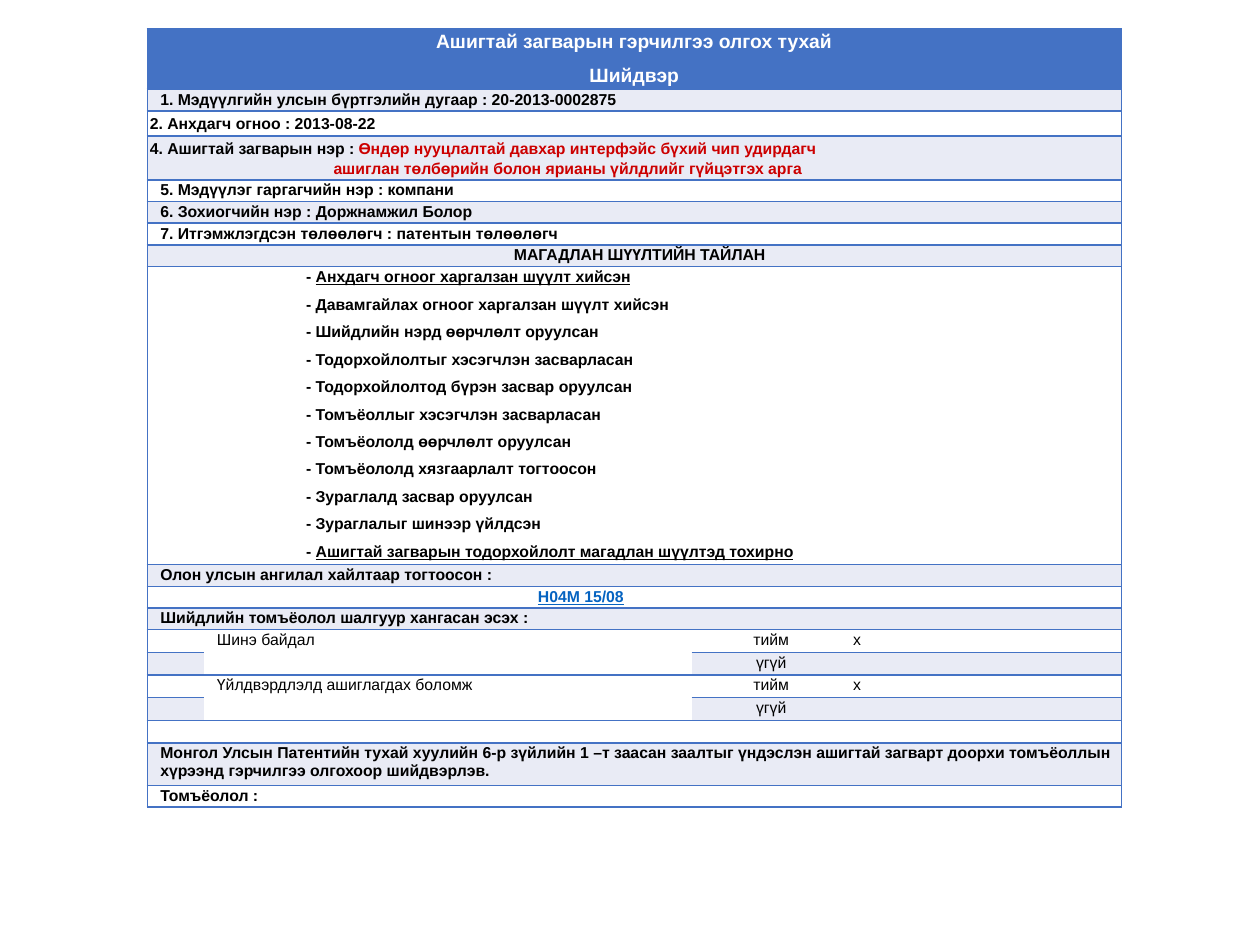
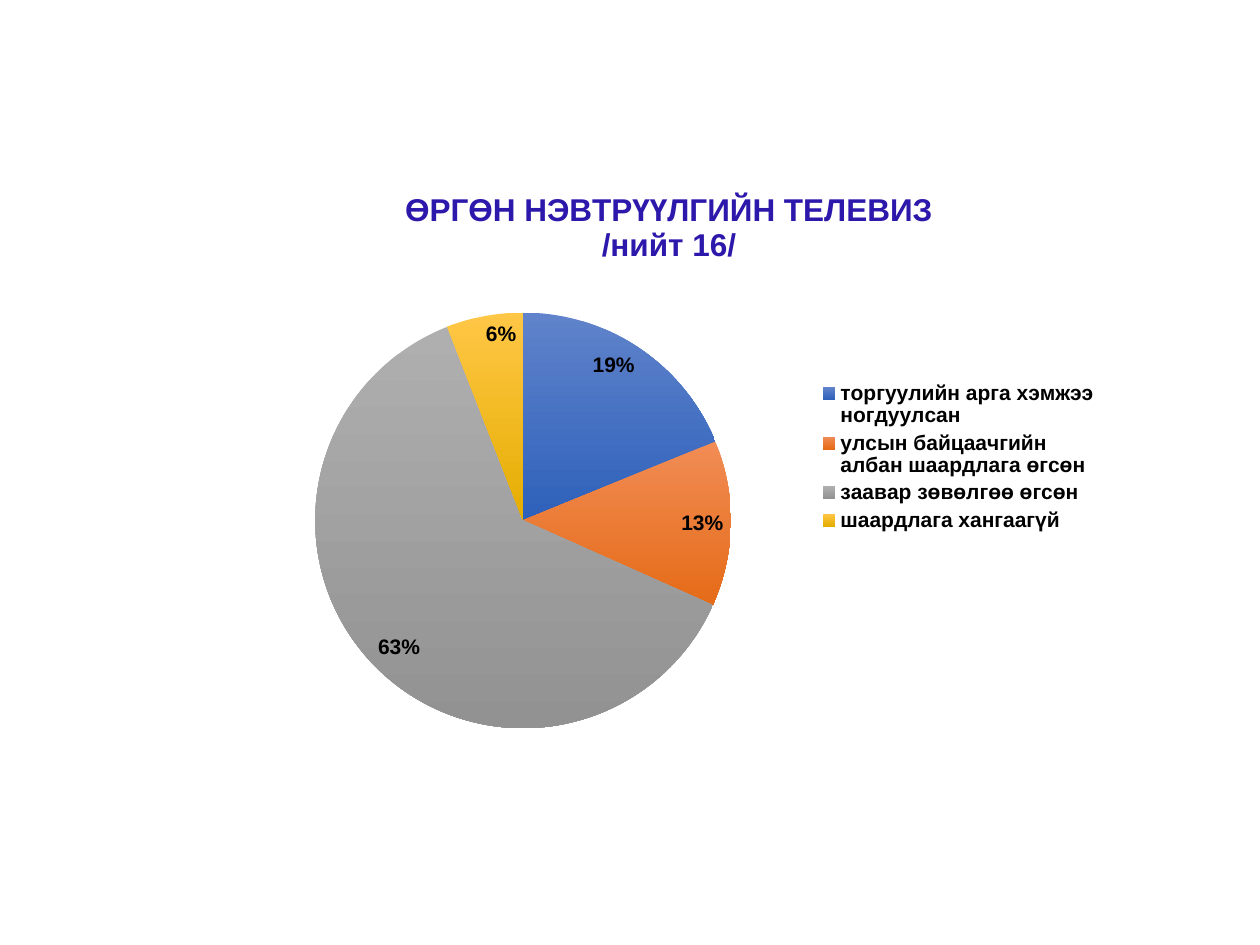
from lxml import etree
from pptx import Presentation
from pptx import util as u
from pptx.chart import data as chart_data
from pptx.dml.color import RGBColor
from pptx.enum import chart as chart_enum, text
from pptx.oxml import ns

FONT = "Arial"
COLORS = {
    "header": "4472C4", "band": "E9EBF5", "plain": "FFFFFF", "ink": "000000",
    "alert": "CC0000", "link": "0563C1", "chart title": "2D18AC",
}

# Decision table: each full-width row is a list of paragraphs,
# each paragraph is (list of runs, paragraph format)
INDENT = {"indent": 6}
HEADING = ["Ашигтай загварын гэрчилгээ олгох тухай", "Шийдвэр"]
REVIEW_CHECKS = [
    ("Анхдагч огноог харгалзан шүүлт хийсэн", True),
    ("Давамгайлах огноог харгалзан шүүлт хийсэн", False),
    ("Шийдлийн нэрд өөрчлөлт оруулсан", False),
    ("Тодорхойлолтыг хэсэгчлэн засварласан", False),
    ("Тодорхойлолтод бүрэн засвар оруулсан", False),
    ("Томъёоллыг хэсэгчлэн засварласан", False),
    ("Томъёололд өөрчлөлт оруулсан", False),
    ("Томъёололд хязгаарлалт тогтоосон", False),
    ("Зураглалд засвар оруулсан", False),
    ("Зураглалыг шинээр үйлдсэн", False),
    ("Ашигтай загварын тодорхойлолт магадлан шүүлтэд тохирно", True),
]
APPLICATION_ROWS = [
    [(["1. Мэдүүлгийн улсын бүртгэлийн дугаар : 20-2013-0002875"], INDENT)],
    [(["2. Анхдагч огноо : 2013-08-22"], {"line": 1.15})],
    [(["4. Ашигтай загварын нэр : ",
       ("Өндөр нууцлалтай давхар интерфэйс бүхий чип удирдагч", {"color": "alert"})],
      {"line": 1.15}),
     ([("ашиглан төлбөрийн болон ярианы үйлдлийг гүйцэтгэх арга", {"color": "alert"})],
      {"line": 1.15, "indent": 105})],
    [(["5. Мэдүүлэг гаргагчийн нэр : компани"], INDENT)],
    [(["6. Зохиогчийн нэр : Доржнамжил Болор"], INDENT)],
    [(["7. Итгэмжлэгдсэн төлөөлөгч : патентын төлөөлөгч"], INDENT)],
    [(["МАГАДЛАН ШҮҮЛТИЙН ТАЙЛАН"], {"indent": 6, "center": True})],
    [(["- ", (check, {"underline": done})],
      {"indent": 89.3, "before": 2.8 if number else 0, "after": 2.8})
     for number, (check, done) in enumerate(REVIEW_CHECKS)],
    [(["Олон улсын ангилал хайлтаар тогтоосон :"], INDENT)],
    [([("H04M 15/08", {"color": "link", "underline": True})], {"indent": 221.8})],
    [(["Шийдлийн томъёолол шалгуур хангасан эсэх :"], INDENT)],
]
CRITERIA = ["Шинэ байдал", "Үйлдвэрдлэлд ашиглагдах боломж"]
ANSWERS = [("тийм", "х"), ("үгүй", "")]
CLOSING_ROWS = [
    [],
    [(["Монгол Улсын Патентийн тухай хуулийн 6-р зүйлийн 1 –т заасан заалтыг "
       "үндэслэн ашигтай загварт доорхи томъёоллын хүрээнд гэрчилгээ олгохоор "
       "шийдвэрлэв."], INDENT)],
    [(["Томъёолол :"], INDENT)],
]
COLUMN_WIDTHS = [32.4, 278.6, 85, 85, 75.6]
ROW_HEIGHT = 12.4
TALL_ROWS = {0: 34.3, 2: 14.3, 3: 25.1, 8: 170.3, 17: 24.3}

# Pie chart: name, percent, top and bottom colour of the slice
CHART_TITLE = ["ӨРГӨН НЭВТРҮҮЛГИЙН ТЕЛЕВИЗ", "/нийт 16/"]
SLICES = [
    ("торгуулийн арга хэмжээ ногдуулсан", 19, "6083CB", "2E61BA"),
    ("улсын байцаачгийн албан шаардлага өгсөн", 13, "F18C55", "E56B17"),
    ("заавар зөвөлгөө өгсөн", 63, "AFAFAF", "929292"),
    ("шаардлага хангаагүй", 6, "FFC746", "E5AD00"),
]
PIE_LAYOUT = {"x": 0.1, "y": 0.25, "w": 0.47, "h": 0.72}


def write(paragraph, runs, size=9, bold=True, color="ink", underline=False,
          center=False, indent=0, before=0, after=0, line=None):
    """Fill a paragraph with runs; a run is text or (text, overrides)."""
    if indent:
        properties = paragraph._p.get_or_add_pPr()
        properties.set("marL", str(int(u.Pt(indent))))
        properties.set("indent", "0")
    if center:
        paragraph.alignment = text.PP_ALIGN.CENTER
    if before:
        paragraph.space_before = u.Pt(before)
    if after:
        paragraph.space_after = u.Pt(after)
    if line:
        paragraph.line_spacing = line
    for item in runs:
        words, changes = (item, {}) if isinstance(item, str) else item
        run = paragraph.add_run()
        run.text = words
        run.font.name, run.font.size = FONT, u.Pt(size)
        run.font.bold = bold
        run.font.underline = changes.get("underline", underline)
        run.font.color.rgb = RGBColor.from_string(COLORS[changes.get("color", color)])


def fill_cell(cell, paragraphs):
    frame = cell.text_frame
    for number, (runs, settings) in enumerate(paragraphs):
        paragraph = frame.paragraphs[0] if number == 0 else frame.add_paragraph()
        write(paragraph, runs, **settings)


def style_cell(cell, color, sides):
    cell.margin_left = cell.margin_right = u.Pt(1.4)
    cell.margin_top = cell.margin_bottom = u.Pt(1)
    properties = cell._tc.get_or_add_tcPr()
    for side in "LRTB":
        border = etree.SubElement(properties, ns.qn("a:ln" + side), w=str(int(u.Pt(1))))
        if side in sides:
            solid = etree.SubElement(border, ns.qn("a:solidFill"))
            etree.SubElement(solid, ns.qn("a:srgbClr"), val=COLORS["header"])
        else:
            etree.SubElement(border, ns.qn("a:noFill"))
    cell.fill.solid()
    cell.fill.fore_color.rgb = RGBColor.from_string(COLORS[color])
    # Keep empty cells as low as the small text
    for paragraph in cell.text_frame.paragraphs:
        if not paragraph.runs:
            etree.SubElement(paragraph._p, ns.qn("a:endParaRPr"), sz="900")


def add_decision_table(slide):
    heading = [([line], {"size": 11, "color": "plain", "center": True, **spacing})
               for line, spacing in zip(HEADING, [{"after": 5.7}, {"line": 1.15}])]
    top_rows = [heading] + APPLICATION_ROWS
    criteria_start = len(top_rows)
    closing_start = criteria_start + len(CRITERIA) * len(ANSWERS)
    row_count = closing_start + len(CLOSING_ROWS)
    heights = [TALL_ROWS.get(row, ROW_HEIGHT) for row in range(row_count)]

    table = slide.shapes.add_table(
        row_count, len(COLUMN_WIDTHS), u.Pt(84.2), u.Pt(16.6),
        u.Pt(sum(COLUMN_WIDTHS)), u.Pt(sum(heights))).table
    table.first_row = table.horz_banding = False
    for column, width in zip(table.columns, COLUMN_WIDTHS):
        column.width = u.Pt(width)
    for row, height in zip(table.rows, heights):
        row.height = u.Pt(height)

    # Full-width rows
    full_rows = dict(enumerate(top_rows))
    full_rows.update(enumerate(CLOSING_ROWS, closing_start))
    last = len(COLUMN_WIDTHS) - 1
    for row, paragraphs in full_rows.items():
        table.cell(row, 0).merge(table.cell(row, last))
        fill_cell(table.cell(row, 0), paragraphs)

    # Criteria with a yes row and a no row each
    for number, criterion in enumerate(CRITERIA):
        start = criteria_start + number * len(ANSWERS)
        table.cell(start, 1).merge(table.cell(start + len(ANSWERS) - 1, 1))
        normal = {"indent": 6, "bold": False}
        fill_cell(table.cell(start, 1), [([criterion], normal)])
        for row, (answer, mark) in enumerate(ANSWERS, start):
            fill_cell(table.cell(row, 2), [([answer], {**normal, "center": True})])
            if mark:
                fill_cell(table.cell(row, 3), [([mark], normal)])

    # Fills and borders
    for row in range(row_count):
        for column in range(last + 1):
            cell = table.cell(row, column)
            lower_half = cell.is_spanned and row not in full_rows
            sides = "B" if lower_half else "TB"
            sides += "L" if column == 0 else ""
            sides += "R" if column == last or row in full_rows else ""
            color = "header" if row == 0 else "band" if row % 2 and not lower_half else "plain"
            style_cell(cell, color, sides)


def add_pie(slide):
    data = chart_data.CategoryChartData()
    data.categories = [name for name, *_ in SLICES]
    data.add_series("Series 1", [percent for _, percent, *_ in SLICES])
    chart = slide.shapes.add_chart(
        chart_enum.XL_CHART_TYPE.PIE, u.Pt(129.6), u.Pt(95.8),
        u.Pt(505.4), u.Pt(330.5), data).chart
    chart.font.name, chart.font.size, chart.font.bold = FONT, u.Pt(12), True
    chart.font.color.rgb = RGBColor.from_string(COLORS["ink"])

    # Title and legend
    chart.has_title = True
    frame = chart.chart_title.text_frame
    for number, line in enumerate(CHART_TITLE):
        paragraph = frame.add_paragraph() if number else frame.paragraphs[0]
        write(paragraph, [line], size=18, color="chart title", center=True)
    chart.chart_title.include_in_layout = False
    chart.has_legend = True
    chart.legend.position = chart_enum.XL_LEGEND_POSITION.RIGHT
    chart.legend.include_in_layout = False

    # Slices and labels
    plot = chart.plots[0]
    plot.vary_by_categories = True
    for number, (_, _, *shades) in enumerate(SLICES):
        fill = plot.series[0].points[number].format.fill
        fill.gradient()
        fill.gradient_angle = 270
        for stop, shade in zip(fill.gradient_stops, shades):
            stop.color.rgb = RGBColor.from_string(shade)
    plot.has_data_labels = True
    labels = plot.data_labels
    labels.show_value = True
    labels.number_format, labels.number_format_is_linked = '0"%"', False
    labels.position = chart_enum.XL_LABEL_POSITION.INSIDE_END

    # Fixed place of the pie
    plot_area = chart._chartSpace.find(".//" + ns.qn("c:plotArea"))
    for old_layout in plot_area.findall(ns.qn("c:layout")):
        plot_area.remove(old_layout)
    layout = etree.Element(ns.qn("c:layout"))
    plot_area.insert(0, layout)
    manual = etree.SubElement(layout, ns.qn("c:manualLayout"))
    modes = {"layoutTarget": "inner", "xMode": "edge", "yMode": "edge"}
    for tag, value in {**modes, **PIE_LAYOUT}.items():
        etree.SubElement(manual, ns.qn("c:" + tag), val=str(value))


def main():
    presentation = Presentation()
    presentation.slide_width, presentation.slide_height = u.Pt(720), u.Pt(540)
    blank = presentation.slide_layouts[6]
    for add_content in (add_decision_table, add_pie):
        add_content(presentation.slides.add_slide(blank))
    presentation.save("out.pptx")


if __name__ == "__main__":
    main()
